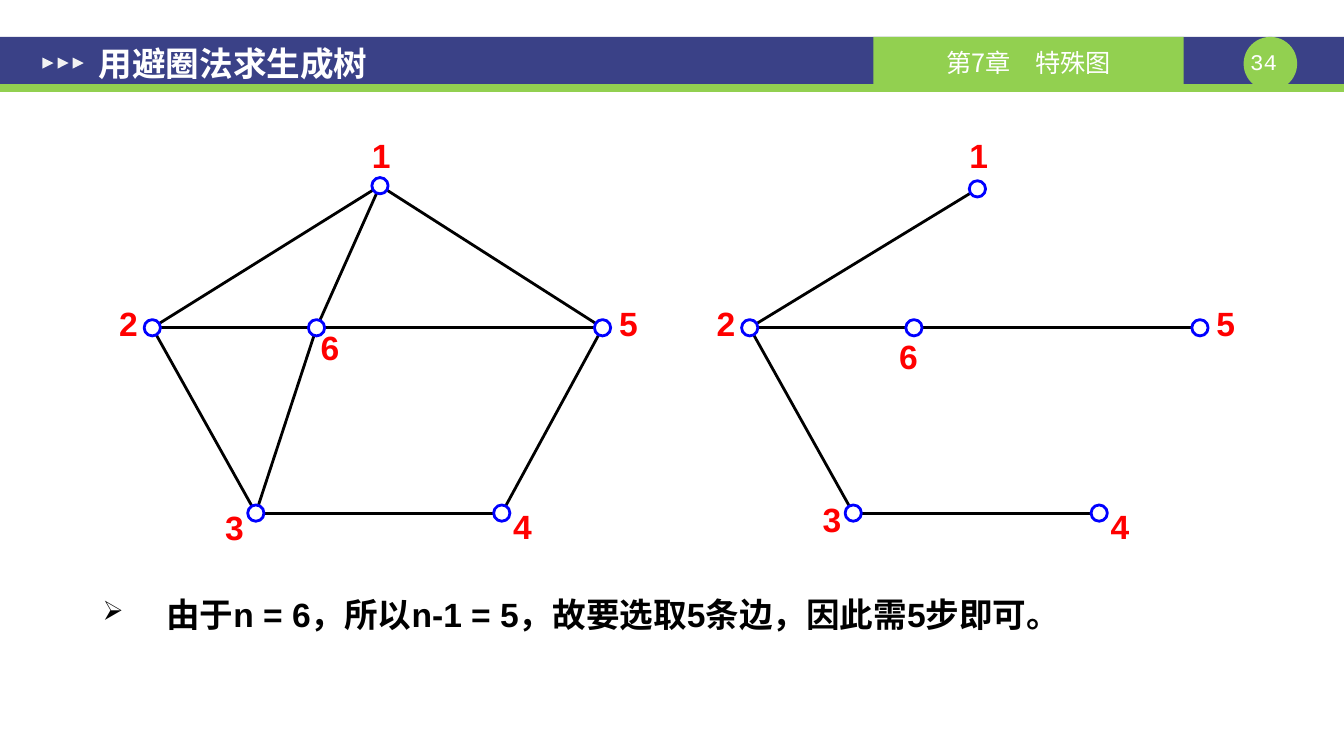
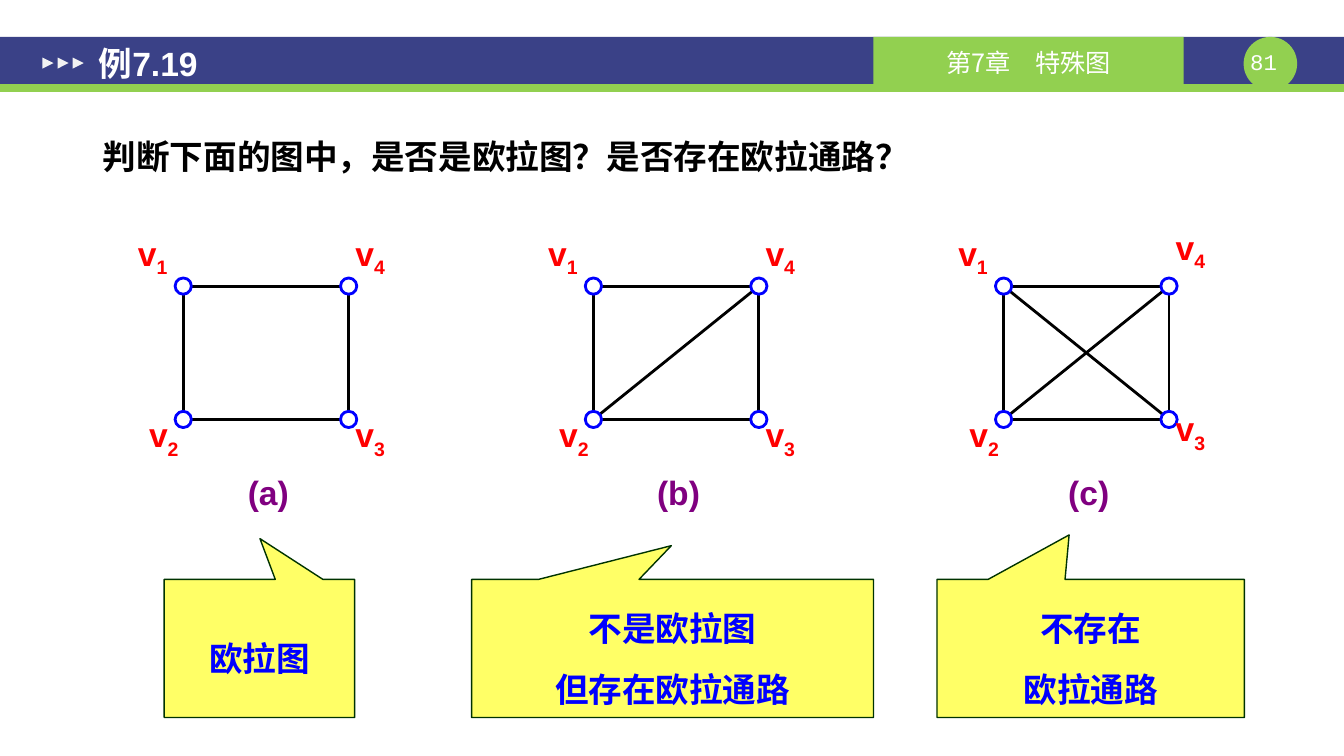
from dataclasses import dataclass
from math import hypot

from lxml.etree import SubElement
from pptx import Presentation
from pptx.dml.color import RGBColor
from pptx.enum.shapes import MSO_CONNECTOR as Connector, MSO_SHAPE as Shape
from pptx.enum.text import MSO_ANCHOR as Anchor, PP_ALIGN as Align
from pptx.oxml.ns import qn
from pptx.util import Cm, Pt


@dataclass(frozen=True)
class Theme:
    white: str = "FFFFFF"
    black: str = "000000"
    band: str = "3A4187"
    accent: str = "92D050"
    marker: str = "F2F2F2"
    label: str = "FF0000"
    node: str = "0000FF"
    caption: str = "800080"
    callout: str = "FFFF66"
    callout_edge: str = "003300"
    font: str = "Arial"
    chapter_font: str = "Noto Sans CJK SC"
    number_font: str = "Courier New"
    text_size: int = 24
    chapter_size: int = 18
    number_size: int = 16
    graph_line: int = 2


THEME = Theme()
NODE_SIZE = 0.41
EDGE_TRIM = 0.15
LABEL_WIDTH, LABEL_HEIGHT = 1, 1.02
BODY_INSETS = (0.33, 0.18, 0.33, 0.18)

# Six-node graph: centres of nodes and labels, in centimetres
GRAPH_NODES = {"1": (9.58, 4.68), "2": (3.84, 8.26), "3": (6.45, 12.93),
               "4": (12.65, 12.93), "5": (15.19, 8.26), "6": (7.98, 8.26)}
GRAPH_LABELS = {"1": (9.61, 3.91), "2": (3.24, 8.15), "3": (5.91, 13.28),
                "4": (13.17, 13.26), "5": (15.84, 8.15), "6": (8.32, 8.74)}
TREE_NODES = {**GRAPH_NODES, "1": (9.58, 4.76)}
TREE_LABELS = {**GRAPH_LABELS, "3": (5.91, 13.08), "6": (7.84, 8.97)}
TREE_EDGES = ["12", "26", "65", "23", "34"]
GRAPH_EDGES = TREE_EDGES + ["16", "63", "54", "15"]
TREE_SHIFT = 15.06

# Four-node graph, repeated at an equal pitch
SQUARE_NODES = {"v1": (4.62, 7.21), "v2": (4.62, 10.57),
                "v3": (8.79, 10.57), "v4": (8.79, 7.21)}
SQUARE_LABELS = {"v1": (3.85, 6.38), "v2": (4.13, 10.95),
                 "v3": (9.33, 10.95), "v4": (9.33, 6.38)}
CROSSED_LABELS = {**SQUARE_LABELS, "v3": (9.33, 10.8), "v4": (9.33, 6.22)}
SQUARE_EDGES = ["14", "12", "23", "43"]
SQUARE_PITCH = 10.34


def color(value):
    return RGBColor.from_string(value)


def style_run(run, ink, size=THEME.text_size, name=THEME.font, bold=True):
    font = run.font
    font.size, font.bold, font.name = Pt(size), bold, name
    font.color.rgb = color(ink)
    SubElement(run._r.get_or_add_rPr(), qn("a:ea")).set("typeface", name)


def write(shape, text, ink, align=Align.CENTER, anchor=Anchor.TOP,
          insets=(0, 0, 0, 0), spacing=None, **font):
    """Put formatted text into a shape; each line becomes a paragraph."""
    frame = shape.text_frame
    frame.word_wrap = True
    frame.vertical_anchor = anchor
    (frame.margin_left, frame.margin_top,
     frame.margin_right, frame.margin_bottom) = map(Cm, insets)
    frame.text = text
    for paragraph in frame.paragraphs:
        paragraph.alignment = align
        paragraph.line_spacing = spacing
        for run in paragraph.runs:
            style_run(run, ink, **font)


def add_text(slide, left, top, width, height, text, ink, **options):
    box = slide.shapes.add_textbox(Cm(left), Cm(top), Cm(width), Cm(height))
    write(box, text, ink, **options)
    return box


def add_figure(slide, kind, left, top, width, height, fill, edge=None, weight=1):
    shape = slide.shapes.add_shape(kind, Cm(left), Cm(top), Cm(width), Cm(height))
    shape.shadow.inherit = False
    shape.fill.solid()
    shape.fill.fore_color.rgb = color(fill)
    if edge:
        shape.line.color.rgb = color(edge)
        shape.line.width = Pt(weight)
    else:
        shape.line.fill.background()
    return shape


def add_header(slide, title, number):
    """Band, chapter tag, page number and title shared by the slides."""
    add_figure(slide, Shape.RECTANGLE, 0, 0.93, 33.88, 1.2, THEME.band)
    add_figure(slide, Shape.RECTANGLE, 0, 2.12, 33.88, 0.2, THEME.accent)
    add_figure(slide, Shape.OVAL, 31.35, 0.93, 1.35, 1.35, THEME.accent)
    add_text(slide, 31.18, 1.22, 1.35, 0.69, str(number), THEME.white,
             size=THEME.number_size, name=THEME.number_font, bold=False)
    chapter = add_figure(slide, Shape.RECTANGLE, 22.02, 0.93, 7.82, 1.2, THEME.accent)
    write(chapter, "第7章　特殊图", THEME.white, anchor=Anchor.MIDDLE,
          insets=(0.25, 0.1, 0.25, 0), size=THEME.chapter_size,
          name=THEME.chapter_font, bold=False)
    for index in range(3):
        marker = add_figure(slide, Shape.ISOSCELES_TRIANGLE,
                            1.07 + 0.38 * index, 1.45, 0.28, 0.28, THEME.marker)
        marker.rotation = 90
    add_text(slide, 2.16, 0.99, 14.8, 1.2, title, THEME.white, align=Align.LEFT,
             anchor=Anchor.MIDDLE, insets=BODY_INSETS)


def add_body(slide, top, height, text, spacing):
    return add_text(slide, 2.26, top, 29.87, height, text, THEME.black,
                    align=Align.LEFT, insets=BODY_INSETS, spacing=spacing)


def add_bullet(paragraph):
    properties = paragraph._p.get_or_add_pPr()
    properties.set("marL", str(Cm(1.6)))
    properties.set("indent", str(-Cm(1.6)))
    SubElement(properties, qn("a:buSzPct")).set("val", "80000")
    SubElement(properties, qn("a:buChar")).set("char", "➢")


def add_edge(slide, start, end):
    """Draw a line between two node centres, trimmed at both nodes."""
    (x1, y1), (x2, y2) = start, end
    ratio = EDGE_TRIM / hypot(x2 - x1, y2 - y1)
    dx, dy = (x2 - x1) * ratio, (y2 - y1) * ratio
    edge = slide.shapes.add_connector(Connector.STRAIGHT, Cm(x1 + dx), Cm(y1 + dy),
                                      Cm(x2 - dx), Cm(y2 - dy))
    edge.line.color.rgb = color(THEME.black)
    edge.line.width = Pt(THEME.graph_line)
    SubElement(edge._element.spPr, qn("a:effectLst"))


def add_label(slide, center, text):
    """Write a node name; its second character is a subscript."""
    x, y = center
    box = add_text(slide, x - LABEL_WIDTH / 2, y - LABEL_HEIGHT / 2,
                   LABEL_WIDTH, LABEL_HEIGHT, text[0], THEME.label)
    if text[1:]:
        run = box.text_frame.paragraphs[0].add_run()
        run.text = text[1:]
        style_run(run, THEME.label)
        run._r.get_or_add_rPr().set("baseline", "-25000")


def add_graph(slide, nodes, labels, edges, shift=0):
    """Draw edges, then nodes, then names; an edge is a pair of digits."""
    centers = {name: (x + shift, y) for name, (x, y) in nodes.items()}
    by_digit = {name[-1]: center for name, center in centers.items()}
    for first, second in edges:
        add_edge(slide, by_digit[first], by_digit[second])
    for x, y in centers.values():
        add_figure(slide, Shape.OVAL, x - NODE_SIZE / 2, y - NODE_SIZE / 2,
                   NODE_SIZE, NODE_SIZE, THEME.white, THEME.node, THEME.graph_line)
    for name, (x, y) in labels.items():
        add_label(slide, (x + shift, y), name)


def add_callout(slide, left, width, tip, text):
    callout = add_figure(slide, Shape.RECTANGULAR_CALLOUT, left, 14.6, width, 3.48,
                         THEME.callout, THEME.callout_edge)
    callout.adjustments[0], callout.adjustments[1] = tip
    write(callout, text, THEME.node, anchor=Anchor.MIDDLE,
          insets=(0.25, 0.13, 0.25, 0.13), spacing=1.5)


def build_spanning_tree(slide):
    add_header(slide, "用避圈法求生成树", 34)
    body = add_body(slide, 14.27, 2.1,
                    "由于n = 6，所以n-1 = 5，故要选取5条边，因此需5步即可。", 1.5)
    add_bullet(body.text_frame.paragraphs[0])
    add_graph(slide, GRAPH_NODES, GRAPH_LABELS, GRAPH_EDGES)
    add_graph(slide, TREE_NODES, TREE_LABELS, TREE_EDGES, TREE_SHIFT)


def build_euler_example(slide):
    add_header(slide, "例7.19", 81)
    add_body(slide, 3.05, 1.63, "判断下面的图中，是否是欧拉图？是否存在欧拉通路？", 1.2)
    # Caption, diagonals, labels; then callout left, width, tip and text
    cases = [
        ("(a)", [], SQUARE_LABELS, 4.14, 4.8, (0.003, -0.795), "欧拉图"),
        ("(b)", ["42"], SQUARE_LABELS, 11.89, 10.13, (-0.003, -0.744),
         "不是欧拉图\n但存在欧拉通路"),
        ("(c)", ["42", "13"], CROSSED_LABELS, 23.62, 7.75, (-0.07, -0.822),
         "不存在\n欧拉通路"),
    ]
    for index, (caption, diagonals, labels, left, width, tip, text) in enumerate(cases):
        shift = SQUARE_PITCH * index
        add_graph(slide, SQUARE_NODES, labels, SQUARE_EDGES + diagonals, shift)
        add_text(slide, 5.9 + shift, 11.89, 1.73, LABEL_HEIGHT, caption, THEME.caption)
        add_callout(slide, left, width, tip, text)


def main():
    presentation = Presentation()
    presentation.slide_width, presentation.slide_height = Cm(33.88), Cm(19.05)
    blank = presentation.slide_layouts[6]
    for build in (build_spanning_tree, build_euler_example):
        build(presentation.slides.add_slide(blank))
    presentation.save("out.pptx")


if __name__ == "__main__":
    main()
